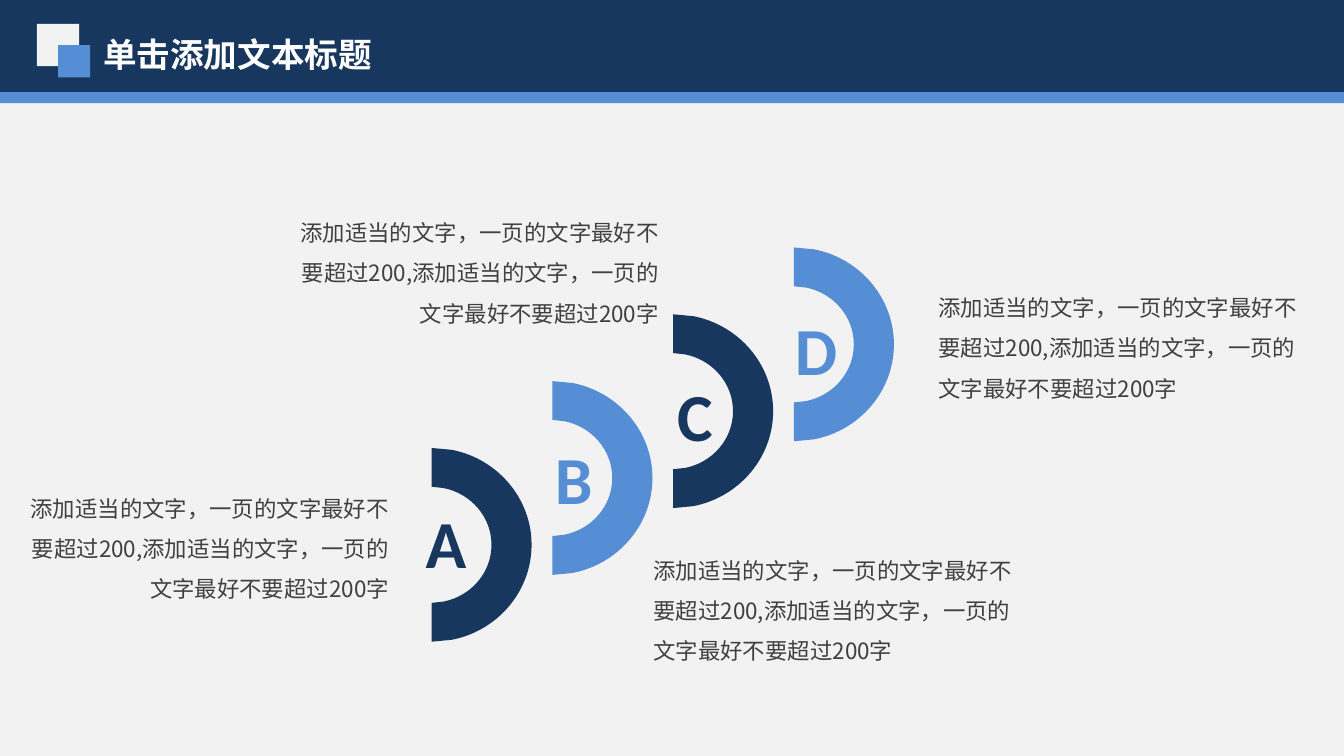
"""Build a title band and four stepped half rings with captions."""
from dataclasses import dataclass

from lxml import etree
from pptx import Presentation
from pptx.dml.color import RGBColor
from pptx.enum.shapes import MSO_SHAPE
from pptx.enum.text import MSO_ANCHOR, MSO_AUTO_SIZE, PP_ALIGN
from pptx.oxml.ns import qn
from pptx.util import Pt

RECT = MSO_SHAPE.RECTANGLE
LEFT, RIGHT, JUSTIFY = PP_ALIGN.LEFT, PP_ALIGN.RIGHT, PP_ALIGN.JUSTIFY
TOP, MIDDLE = MSO_ANCHOR.TOP, MSO_ANCHOR.MIDDLE
NO_FIT, FIT = MSO_AUTO_SIZE.NONE, MSO_AUTO_SIZE.SHAPE_TO_FIT_TEXT

NAVY, BLUE, PALE, WHITE, GREY = "17375E", "558ED5", "F2F2F2", "FFFFFF", "404040"
CJK = "Noto Sans CJK SC"
TITLE = "单击添加文本标题"
CAPTION = "添加适当的文字，一页的文字最好不要超过200,添加适当的文字，一页的文字最好不要超过200字"

TITLE_FONT = {"size": Pt(18), "bold": True, "name": CJK}
CAPTION_FONT = {"size": Pt(12), "name": CJK}
LETTER_FONT = {"size": Pt(36), "bold": True, "name": "Calibri"}

RING_X, RING_Y, STEP_X, STEP_Y = 231.2, 291.9, 64.7, -35.8
OUTER = [(0, -51.9), (10.8, -50.9), (35.3, -46.1), (53.6, -25), (53.6, 0)]
INNER = [(0, -31.1), (6.5, -30.4), (21, -27.5), (32.1, -15.1), (32.1, 0)]
CURVE_STARTS = (1, 4, 10, 13)
CAPTION_W, CAPTION_H, LETTER_H = 206.6, 63.4, 51


@dataclass
class Box:
    left: float
    top: float
    width: float
    height: float

    def lengths(self) -> list:
        return [Pt(v) for v in (self.left, self.top, self.width, self.height)]


@dataclass
class Bar:
    box: Box
    color: str


@dataclass
class Step:
    letter: str
    color: str
    letter_box: Box
    caption_box: Box
    align: PP_ALIGN


BARS = [
    Bar(Box(0, 0, 720, 405), PALE),
    Bar(Box(0, 0, 720, 54.7), NAVY),
    Bar(Box(0, 49.4, 720, 5.8), BLUE),
    Bar(Box(19.8, 12.8, 22.6, 22.6), PALE),
    Bar(Box(31.1, 24.2, 17.2, 17.2), BLUE),
]
STEPS = [
    Step("A", NAVY, Box(221, 265, 36.7, LETTER_H),
         Box(8.9, 258.5, CAPTION_W, CAPTION_H), RIGHT),
    Step("B", BLUE, Box(290.2, 230.8, 34.6, LETTER_H),
         Box(343, 291.8, CAPTION_W, CAPTION_H), LEFT),
    Step("C", NAVY, Box(355.7, 197, 34.6, LETTER_H),
         Box(153.5, 110.9, CAPTION_W, CAPTION_H), RIGHT),
    Step("D", BLUE, Box(418.8, 161.7, 37.4, LETTER_H),
         Box(495.7, 151, CAPTION_W, CAPTION_H), LEFT),
]


def rgb(color: str) -> RGBColor:
    return RGBColor.from_string(color)


def paint(sp, color: str) -> None:
    sp.shadow.inherit = False
    sp.fill.solid()
    sp.fill.fore_color.rgb = rgb(color)
    sp.line.fill.background()


def add_bar(s, bar: Bar) -> None:
    paint(s.shapes.add_shape(RECT, *bar.box.lengths()), bar.color)


def mirror(half: list) -> list:
    return half + [(x, -y) for x, y in half[-2::-1]]


def bend(sp) -> None:
    """Turn each marked run of three line ends into one cubic curve."""
    lines = list(sp._element.iter(qn("a:lnTo")))
    for start in CURVE_STARTS:
        first, *others = lines[start:start + 3]
        curve = etree.Element(qn("a:cubicBezTo"))
        first.addprevious(curve)
        for line in (first, *others):
            curve.append(line[0])
            line.getparent().remove(line)


def add_half_ring(s, x: float, y: float, color: str) -> None:
    outline = mirror(OUTER) + mirror(INNER)[::-1]
    points = [(Pt(x + dx), Pt(y + dy)) for dx, dy in outline]
    builder = s.shapes.build_freeform(*points[0])
    builder.add_line_segments(points[1:], close=True)
    sp = builder.convert_to_shape()
    bend(sp)
    paint(sp, color)


def add_text(s, box: Box, text: str, font: dict, color: str, align: PP_ALIGN = LEFT,
             anchor: MSO_ANCHOR = TOP, fit: MSO_AUTO_SIZE = FIT, wrap: bool = True,
             spacing: float = 1.0) -> None:
    tf = s.shapes.add_textbox(*box.lengths()).text_frame
    for key, value in {"word_wrap": wrap, "auto_size": fit, "vertical_anchor": anchor}.items():
        setattr(tf, key, value)
    p = tf.paragraphs[0]
    p.alignment, p.line_spacing = align, spacing
    r = p.add_run()
    r.text = text
    for key, value in font.items():
        setattr(r.font, key, value)
    r.font.color.rgb = rgb(color)
    etree.SubElement(r._r.get_or_add_rPr(), qn("a:ea")).set("typeface", font["name"])


def main() -> None:
    prs = Presentation()
    prs.slide_width, prs.slide_height = Pt(720), Pt(405)
    s = prs.slides.add_slide(prs.slide_layouts[6])
    for bar in BARS:
        add_bar(s, bar)
    add_text(s, Box(48.2, 14.4, 181.4, 29), TITLE, TITLE_FONT, WHITE)
    for i, step in enumerate(STEPS):
        add_half_ring(s, RING_X + i * STEP_X, RING_Y + i * STEP_Y, step.color)
        add_text(s, step.caption_box, CAPTION, CAPTION_FONT, GREY, step.align,
                 MIDDLE, NO_FIT, spacing=1.5)
        add_text(s, step.letter_box, step.letter, LETTER_FONT, step.color, JUSTIFY,
                 wrap=False)
    prs.save("out.pptx")


if __name__ == "__main__":
    main()
